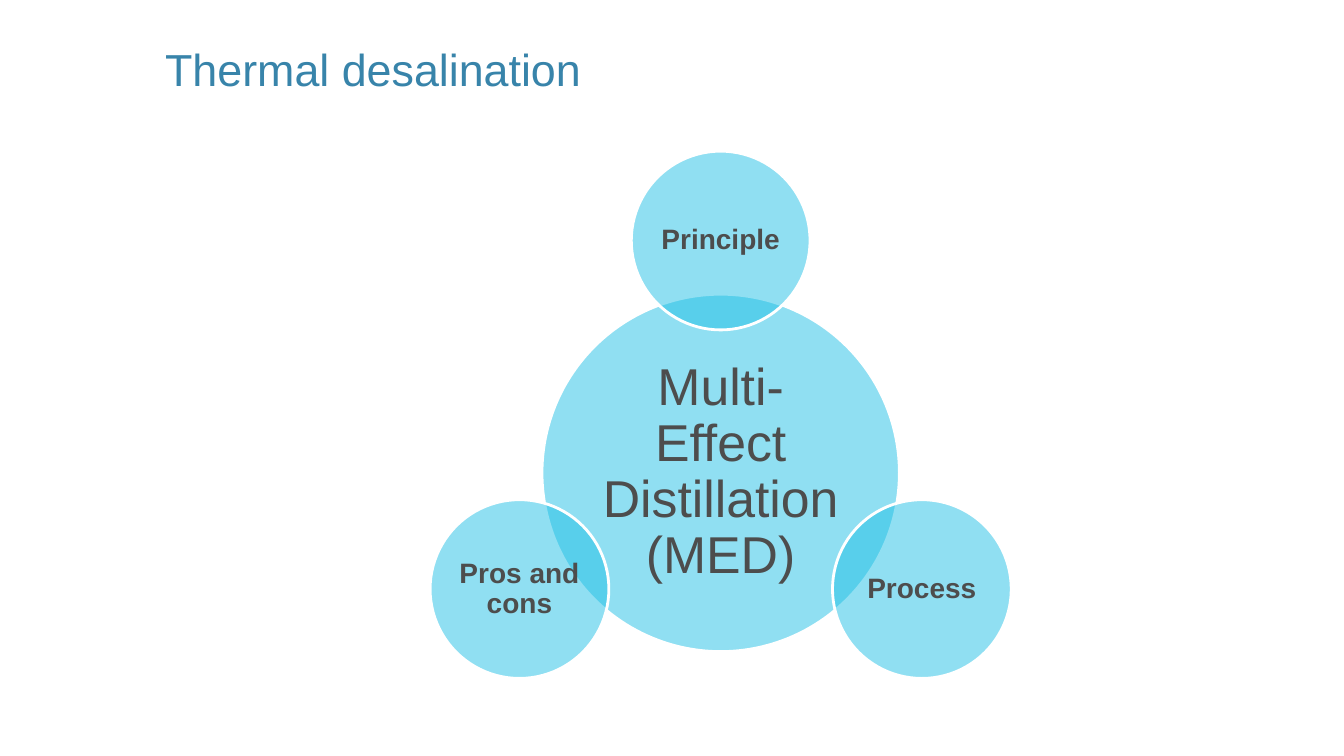
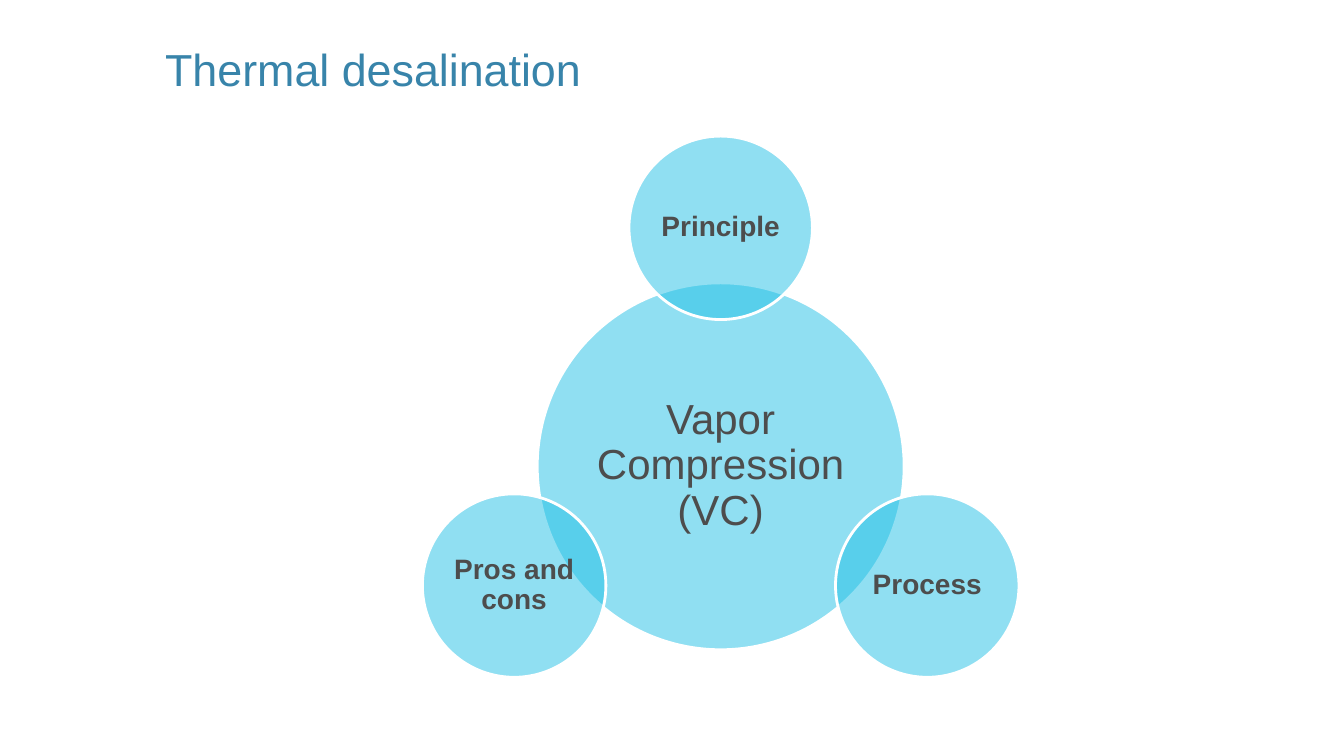
from math import cos, radians, sin

from lxml import etree
from pptx import Presentation
from pptx.dml.color import RGBColor
from pptx.enum.shapes import MSO_SHAPE
from pptx.enum.text import MSO_ANCHOR, PP_ALIGN
from pptx.oxml.ns import qn
from pptx.util import Pt

OVAL = MSO_SHAPE.OVAL
CENTER = PP_ALIGN.CENTER
TOP, MIDDLE = MSO_ANCHOR.TOP, MSO_ANCHOR.MIDDLE

WHITE = RGBColor(0xFF, 0xFF, 0xFF)
CYAN = RGBColor(0x22, 0xC1, 0xE6)
GREY = RGBColor(0x4D, 0x4D, 0x4D)
BLUE = RGBColor(0x38, 0x84, 0xAA)

FONT = "Arial"
TITLE_FONT = {"name": FONT, "size": Pt(32), "bold": False}
HUB_FONT = {"name": FONT, "bold": False}
ASPECT_FONT = {"name": FONT, "size": Pt(20), "bold": True}

SLIDE_SIZE = (960, 540)
TITLE = "Thermal desalination"
TITLE_BOX = (110.9, 26.5, 808.6, 53.3)
ASPECTS = ("Principle", "Process", "Pros and cons")
ASPECT_RATIO = 0.5
ORBIT_RATIO = 0.65

METHODS = (
    {"method": "Multi-Effect Distillation (MED)", "size": 37,
     "box": (300, 108, 429.6, 376.6)},
    {"method": "Vapor Compression (VC)", "size": 30,
     "box": (300, 97.2, 429.6, 386.6)},
)


def apply_format(target, values):
    """Set every attribute named in a dict of format values."""
    for name, value in values.items():
        setattr(target, name, value)


def write_text(frame, text, font, color, inset, anchor, paragraph_format):
    """Fill a text frame with one formatted paragraph."""
    apply_format(frame, {"word_wrap": True, "vertical_anchor": anchor})
    apply_format(frame, {f"margin_{side}": Pt(inset)
                         for side in ("left", "top", "right", "bottom")})
    paragraph = frame.paragraphs[0]
    apply_format(paragraph, paragraph_format)
    run = paragraph.add_run()
    run.text = text
    apply_format(run.font, font)
    run.font.color.rgb = color


def add_title(slide, box):
    """Place the shared title in its box."""
    title = slide.shapes.add_textbox(*map(Pt, box))
    write_text(title.text_frame, TITLE, TITLE_FONT, BLUE, 7.2, TOP, {})
    title.text_frame.margin_top = Pt(3.6)


def add_circle(slide, center_x, center_y, diameter, text, font, inset):
    """Draw a half-transparent labelled circle around a centre."""
    radius = diameter / 2
    circle = slide.shapes.add_shape(
        OVAL, Pt(center_x - radius), Pt(center_y - radius),
        Pt(diameter), Pt(diameter))
    circle.shadow.inherit = False
    circle.fill.solid()
    circle.fill.fore_color.rgb = CYAN
    color = circle.fill._xPr.find(qn("a:solidFill"))[0]
    etree.SubElement(color, qn("a:alpha"), val="50000")
    circle.line.color.rgb = WHITE
    circle.line.width = Pt(2)
    write_text(circle.text_frame, text, font, GREY, inset, MIDDLE,
               {"alignment": CENTER, "line_spacing": 0.9})


def add_radial_venn(slide, box, method, size):
    """Fit a hub circle and its evenly spaced aspects into a box."""
    left, top, width, height = box
    diameter = height / (1.5 * ORBIT_RATIO + ASPECT_RATIO)
    aspect_diameter = diameter * ASPECT_RATIO
    orbit = diameter * ORBIT_RATIO
    center_x = left + width / 2
    center_y = top + aspect_diameter / 2 + orbit
    add_circle(slide, center_x, center_y, diameter, method,
               {**HUB_FONT, "size": Pt(size)}, 3)
    for index, aspect in enumerate(ASPECTS):
        angle = radians(index * 360 / len(ASPECTS))
        add_circle(slide, center_x + orbit * sin(angle),
                   center_y - orbit * cos(angle), aspect_diameter,
                   aspect, ASPECT_FONT, 1.5)


def add_method_slide(deck, method, size, box):
    """Add one slide about a desalination method."""
    slide = deck.slides.add_slide(deck.slide_layouts[6])
    add_radial_venn(slide, box, method, size)
    add_title(slide, TITLE_BOX)


def main():
    """Build and save the presentation."""
    deck = Presentation()
    deck.slide_width, deck.slide_height = map(Pt, SLIDE_SIZE)
    for method in METHODS:
        add_method_slide(deck, **method)
    deck.save("out.pptx")


if __name__ == "__main__":
    main()
